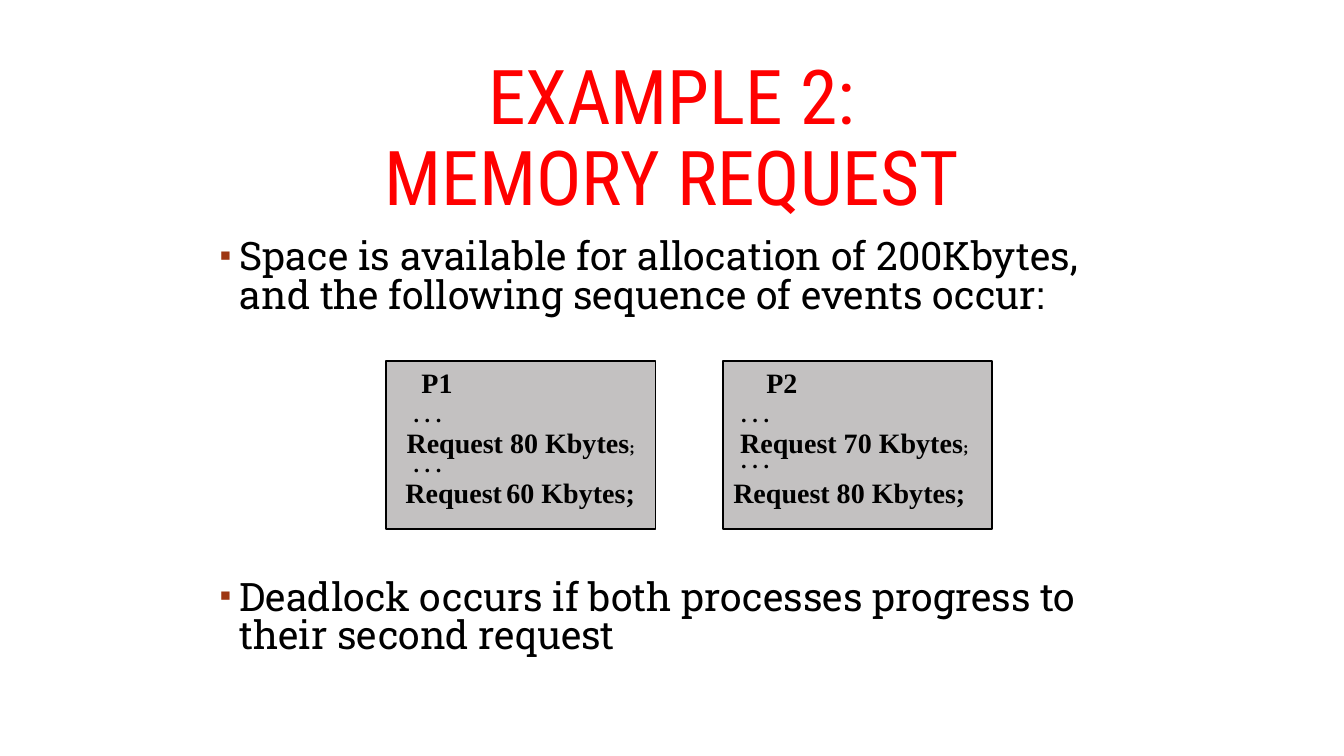
import dataclasses

import lxml.etree
import pptx
import pptx.dml.color
import pptx.enum.shapes
import pptx.enum.text
import pptx.oxml.ns
import pptx.util

PX = 9144
SERIF = "Times New Roman"
Run = tuple[str, int]
Box = tuple[int, int, int, int]


@dataclasses.dataclass
class Line:
    """One centred line of code, placed in px."""

    left: int
    top: int
    width: int
    height: int
    runs: list[Run]


@dataclasses.dataclass
class Process:
    """A grey panel and the lines of code on it."""

    left: int
    lines: list[Line]


PROCS = [
    Process(383, [
        Line(408, 358, 51, 44, [("P1", 20)]),
        Line(400, 392, 48, 37, [(". . .", 16)]),
        Line(392, 417, 249, 44, [("Request 80 Kbytes", 20), (";", 12)]),
        Line(400, 442, 48, 37, [(". . .", 16)]),
        Line(391, 467, 250, 44, [("Request", 20), (" ", 12), ("60 Kbytes;", 20)]),
    ]),
    Process(717, [
        Line(750, 358, 51, 44, [("P2", 20)]),
        Line(725, 392, 48, 37, [(". . .", 16)]),
        Line(717, 417, 261, 44, [("Request 70 Kbytes", 20), (";", 12)]),
        Line(725, 438, 48, 37, [(". . .", 16)]),
        Line(716, 467, 253, 44, [("Request 80 Kbytes;", 20)]),
    ]),
]
POINTS = [
    ("Space is available for allocation of 200Kbytes, and the following sequence of events occur:", 28),
    ("Deadlock occurs if both processes progress to their second request", 28),
]


def emu(*sizes: int) -> list[int]:
    """Turn px into EMU."""
    return [size * PX for size in sizes]


def tint(code: str) -> pptx.dml.color.RGBColor:
    """Turn a hex string into a colour."""
    return pptx.dml.color.RGBColor.from_string(code)


def write(slide, box: Box, paras: list[list[Run]], *, font: str, color: str = "000000",
          bold: bool = False, wrap: bool = True, center: bool = True,
          middle: bool = False, pitch: float = 1.0):
    """Add a text box and return its paragraphs."""
    frame = slide.shapes.add_textbox(*emu(*box)).text_frame
    frame.word_wrap = wrap
    anchor = pptx.enum.text.MSO_ANCHOR
    frame.vertical_anchor = anchor.MIDDLE if middle else anchor.TOP
    align = pptx.enum.text.PP_ALIGN
    for index, runs in enumerate(paras):
        para = frame.add_paragraph() if index else frame.paragraphs[0]
        para.alignment = align.CENTER if center else align.LEFT
        para.line_spacing = pitch
        for text, size in runs:
            run = para.add_run()
            run.text = text
            run.font.name = font
            run.font.size = pptx.util.Pt(size)
            run.font.bold = bold
            run.font.color.rgb = tint(color)
    return frame.paragraphs


def mark(para) -> None:
    """Give a paragraph a small square bullet and a hanging indent."""
    props = para._p.get_or_add_pPr()
    indent = emu(20)[0]
    props.set("marL", str(indent))
    props.set("indent", str(-indent))
    name = pptx.oxml.ns.qn
    color = lxml.etree.SubElement(props, name("a:buClr"))
    lxml.etree.SubElement(color, name("a:srgbClr"), val="9E3611")
    lxml.etree.SubElement(props, name("a:buSzPct"), val="85000")
    lxml.etree.SubElement(props, name("a:buFont"), typeface="Arial")
    lxml.etree.SubElement(props, name("a:buChar"), char="▪")


def panel(slide, proc: Process) -> None:
    """Draw a process panel with its code."""
    kind = pptx.enum.shapes.MSO_SHAPE.RECTANGLE
    shape = slide.shapes.add_shape(kind, *emu(proc.left, 358, 267, 167))
    shape.shadow.inherit = False
    shape.fill.solid()
    shape.fill.fore_color.rgb = tint("C3C1C1")
    shape.line.color.rgb = tint("000000")
    shape.line.width = pptx.util.Pt(1)
    for line in proc.lines:
        box = (line.left, line.top, line.width, line.height)
        write(slide, box, [line.runs], font=SERIF, bold=True, wrap=False)


def main() -> None:
    """Build and save the slide."""
    deck = pptx.Presentation()
    deck.slide_width, deck.slide_height = emu(1333, 750)
    slide = deck.slides.add_slide(deck.slide_layouts[6])
    write(slide, (200, 67, 933, 145), [[("EXAMPLE 2:", 54)], [("MEMORY REQUEST", 54)]],
          font="Roboto Condensed", color="FF0000", middle=True, pitch=0.9)
    points = write(slide, (208, 233, 925, 542), [[point] for point in POINTS],
                   font="Roboto Slab", center=False, pitch=0.82)
    points[1].space_before = pptx.util.Pt(188)
    for point in points:
        mark(point)
    for proc in PROCS:
        panel(slide, proc)
    deck.save("out.pptx")


if __name__ == "__main__":
    main()
